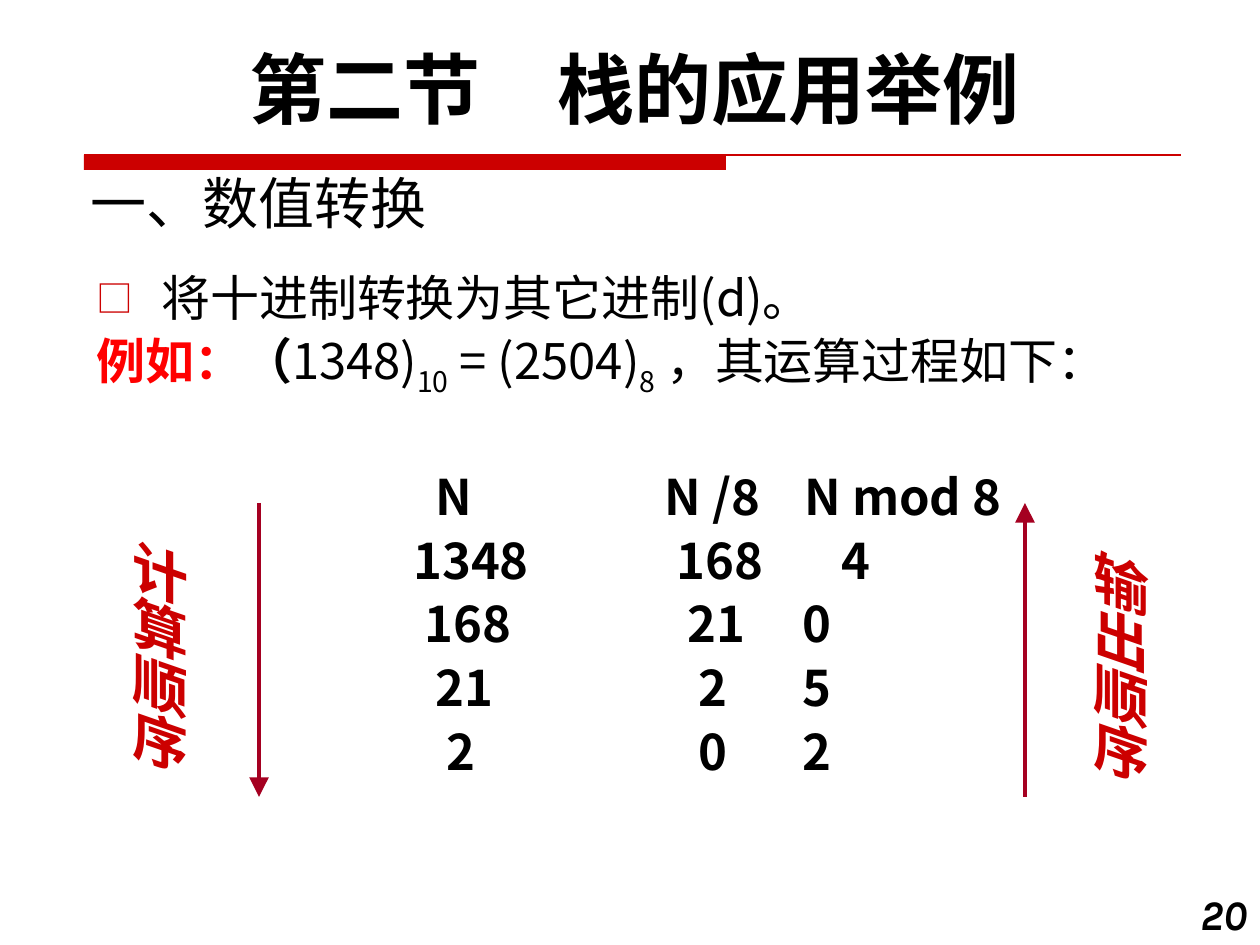
from pptx import Presentation
from pptx.dml.color import RGBColor
from pptx.enum import shapes, text
from pptx.oxml.ns import qn
from pptx.util import Pt
from lxml import etree

PX = 914400 / 126
THEME = dict(
    red=RGBColor(0xCC, 0, 0), bright=RGBColor(0xFF, 0, 0),
    dark=RGBColor(0xA5, 0, 0x21), black=RGBColor(0, 0, 0),
    cjk="Noto Sans CJK SC", head="Karla", serif="Times New Roman",
    title=44, section=32, body=28, number=24,
)


def px(n):
    return round(n * PX)


def add_run(p, words, size=THEME["body"], color=THEME["black"], font=THEME["cjk"],
            bold=False, italic=False, base=None):
    r = p.add_run()
    r.text = words
    f = r.font
    f.size, f.name, f.bold, f.italic = Pt(size), font, bold, italic
    f.color.rgb = color
    etree.SubElement(r._r.rPr, qn("a:ea")).set("typeface", THEME["cjk"])
    if base:
        r._r.rPr.set("baseline", str(base))


prs = Presentation()
prs.slide_width, prs.slide_height = px(1260), px(945)
s = prs.slides.add_slide(prs.slide_layouts[6])

# Rule under the title: thick bar
bar = s.shapes.add_shape(shapes.MSO_SHAPE.RECTANGLE, px(84), px(155), px(642), px(15))
bar.shadow.inherit = False
bar.fill.solid()
bar.fill.fore_color.rgb = THEME["red"]
bar.line.fill.background()

# Thin line, then calculation arrow (down) and output arrow (up)
for x1, y1, x2, y2, color, width, arrow in (
    (84, 155, 1181, 155, THEME["red"], 0.75, False),
    (259, 503, 259, 797, THEME["dark"], 2.25, True),
    (1025, 797, 1025, 503, THEME["dark"], 2.25, True),
):
    line = s.shapes.add_connector(shapes.MSO_CONNECTOR.STRAIGHT, px(x1), px(y1), px(x2), px(y2))
    line.line.color.rgb = color
    line.line.width = Pt(width)
    if arrow:
        etree.SubElement(line.line._get_or_add_ln(), qn("a:tailEnd"),
                         type="triangle", w="lg", len="lg")
    etree.SubElement(line._element.spPr, qn("a:effectLst"))

# Title, section heading, page number and vertical labels
left, center, right = text.PP_ALIGN.LEFT, text.PP_ALIGN.CENTER, text.PP_ALIGN.RIGHT
top, bottom = text.MSO_ANCHOR.TOP, text.MSO_ANCHOR.BOTTOM
label = dict(size=THEME["section"], color=THEME["red"], font=THEME["serif"], bold=True, italic=True)
for words, box, align, anchor, vertical, style in (
    ("第二节\u3000栈的应用举例".replace("\u3000", "　"), (52, 35, 1165, 106), center, top, False,
     dict(size=THEME["title"], font=THEME["head"], bold=True)),
    ("一、数值转换", (78, 147, 788, 95), left, bottom, False, dict(size=THEME["section"])),
    ("20", (1176, 882, 84, 63), right, top, False,
     dict(size=THEME["number"], font=THEME["head"], bold=True, italic=True)),
    ("计算顺序", (122, 524, 93, 232), left, top, True, label),
    ("输出顺序", (1083, 534, 93, 232), left, top, True, label),
):
    tf = s.shapes.add_textbox(*map(px, box)).text_frame
    tf.word_wrap = not vertical
    tf.vertical_anchor = anchor
    if vertical:
        tf._txBody.bodyPr.set("vert", "eaVert")
    p = tf.paragraphs[0]
    p.alignment = align
    add_run(p, words, **style)

# Body: bulleted statement
tf = s.shapes.add_textbox(px(84), px(261), px(1176), px(557)).text_frame
tf.word_wrap = True
p = tf.paragraphs[0]
pPr = p._p.get_or_add_pPr()
pPr.set("marL", str(px(65)))
pPr.set("indent", str(-px(65)))
clr = etree.SubElement(pPr, qn("a:buClr"))
etree.SubElement(clr, qn("a:srgbClr")).set("val", str(THEME["red"]))
etree.SubElement(pPr, qn("a:buSzPct")).set("val", "75000")
etree.SubElement(pPr, qn("a:buFont")).set("typeface", THEME["cjk"])
etree.SubElement(pPr, qn("a:buChar")).set("char", "□")
add_run(p, "将十进制转换为其它进制(d)。")

# Body: worked example
p = tf.add_paragraph()
p.space_before = Pt(2.8)
add_run(p, "例如：", color=THEME["bright"], bold=True)
add_run(p, "（", bold=True)
for words, base in (("1348)", None), ("10", -25000), (" = (2504)", None),
                    ("8", -25000), (" ，其运算过程如下：", None)):
    add_run(p, words, base=base)

# Body: division steps, each value at its own tab stop
for i, (values, stops) in enumerate((
    (("N", "N /8", "N mod 8"), (339, 568, 708)),
    (("1348", "168", "4"), (317, 580, 745)),
    (("168", "21", "0"), (328, 591, 706)),
    (("21", "2", "5"), (339, 602, 706)),
    (("2", "0", "2"), (350, 602, 706)),
)):
    p = tf.add_paragraph()
    p.space_before = Pt(2.8 if i else 39.2)
    tabs = etree.SubElement(p._p.get_or_add_pPr(), qn("a:tabLst"))
    for stop in stops:
        etree.SubElement(tabs, qn("a:tab"), pos=str(px(stop)), algn="l")
    add_run(p, "\t" + "\t".join(values), bold=True)

prs.save("out.pptx")
